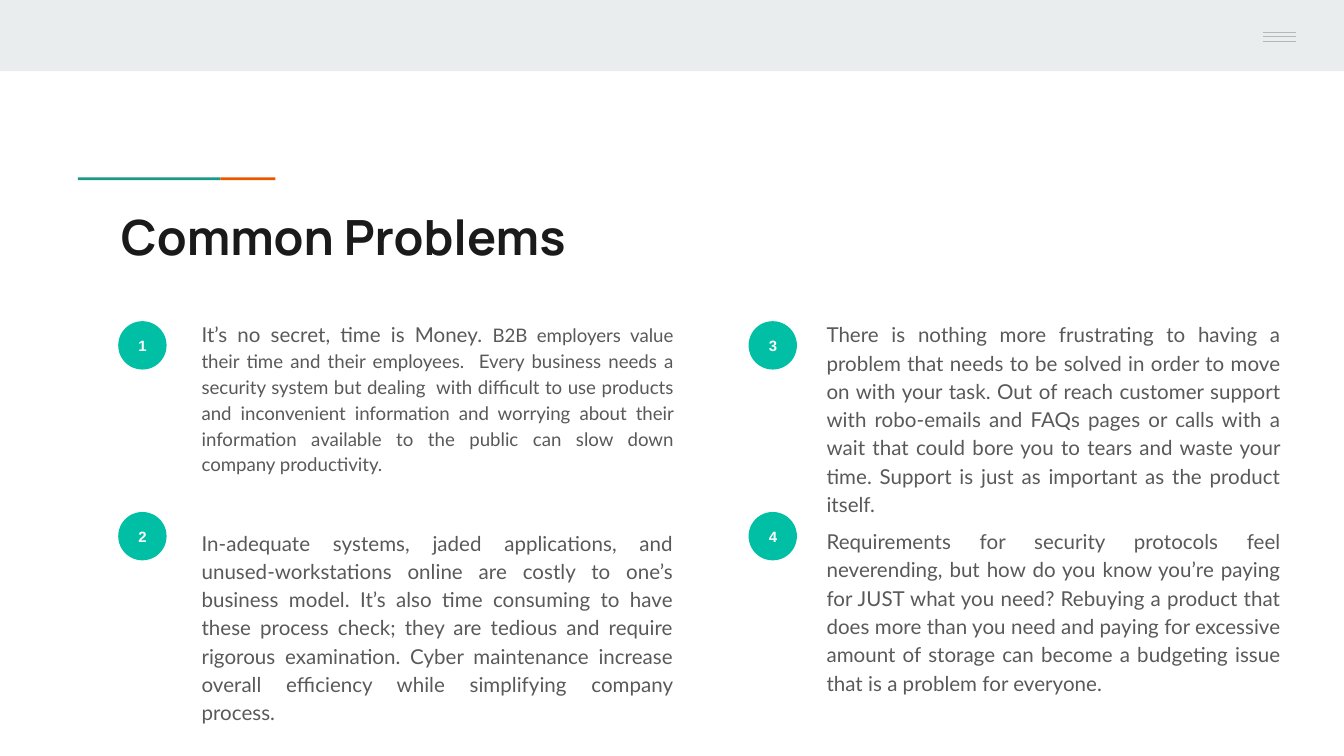
"""Build the "Common Problems" slide with four numbered paragraphs."""

from dataclasses import dataclass

from lxml.etree import SubElement
from pptx import Presentation
from pptx.dml.color import RGBColor
from pptx.enum.shapes import MSO_CONNECTOR, MSO_SHAPE
from pptx.enum.text import MSO_ANCHOR, MSO_AUTO_SIZE, PP_ALIGN
from pptx.oxml.ns import qn
from pptx.shapes.autoshape import Shape
from pptx.slide import Slide
from pptx.util import Inches, Pt

COLORS = {
    "band": "E9EDEE",
    "orange": "EB5600",
    "green": "1A9988",
    "badge": "00BFA5",
    "menu": "B7B7B7",
    "title": "1A1A1A",
    "body": "595959",
    "white": "FFFFFF",
}


@dataclass
class Run:
    text: str
    size: int = 11


@dataclass
class Column:
    badge_left: float
    text_left: float
    text_width: float


@dataclass
class Problem:
    column: Column
    badge_top: float
    text_top: float
    text_height: float
    runs: list[Run]


@dataclass
class Bar:
    left: float
    top: float
    width: float
    height: float
    color: str


LEFT = Column(0.88, 1.4, 3.71)
RIGHT = Column(5.57, 6.05, 3.58)
BADGE_SIZE = 0.36
UPPER_BADGE, LOWER_BADGE = 2.39, 3.81

BARS = [
    Bar(0, 0, 10, 0.53, "band"),
    Bar(0.58, 1.32, 1.06, 0.02, "green"),
    Bar(1.64, 1.32, 0.41, 0.02, "orange"),
]

PROBLEMS = [
    Problem(LEFT, UPPER_BADGE, 2.27, 1.29, [
        Run("It’s no secret, time is Money. "),
        Run("B2B employers value their time and their employees.  Every business "
            "needs a security system but dealing  with difficult to use products "
            "and inconvenient information and worrying about their information "
            "available to the public can slow down company productivity.", 10),
    ]),
    Problem(LEFT, LOWER_BADGE, 3.82, 1.15, [
        Run("In-adequate systems, jaded applications, and unused-workstations "
            "online are costly to one’s business model. It’s also time consuming "
            "to have these process check; they are tedious and require rigorous "
            "examination. Cyber maintenance increase overall efficiency while "
            "simplifying company process."),
    ]),
    Problem(RIGHT, UPPER_BADGE, 2.27, 1.49, [
        Run("There is nothing more frustrating to having a problem that needs to "
            "be solved in order to move on with your task. Out of reach customer "
            "support with robo-emails and FAQs pages or calls with a wait that "
            "could bore you to tears and waste your time. Support is just as "
            "important as the product itself."),
    ]),
    Problem(RIGHT, LOWER_BADGE, 3.81, 1.17, [
        Run("Requirements for security protocols feel neverending, but how do you "
            "know you’re paying for JUST what you need? Rebuying a product that "
            "does more than you need and paying for excessive amount of storage "
            "can become a budgeting issue that is a problem for everyone."),
    ]),
]


def color(name: str) -> RGBColor:
    """Return the named palette colour."""
    return RGBColor.from_string(COLORS[name])


def add_filled(slide: Slide, preset: MSO_SHAPE, bar: Bar) -> Shape:
    """Draw a flat preset shape without outline or shadow."""
    shape = slide.shapes.add_shape(
        preset, Inches(bar.left), Inches(bar.top), Inches(bar.width), Inches(bar.height)
    )
    shape.fill.solid()
    shape.fill.fore_color.rgb = color(bar.color)
    shape.line.fill.background()
    shape.shadow.inherit = False
    return shape


def add_menu_line(slide: Slide, top: float) -> None:
    """Draw one line of the menu icon."""
    line = slide.shapes.add_connector(
        MSO_CONNECTOR.STRAIGHT, Inches(9.4), Inches(top), Inches(9.64), Inches(top)
    )
    line.line.color.rgb = color("menu")
    line.line.width = Pt(0.75)
    SubElement(line._element.spPr, qn("a:effectLst"))


def set_frame(shape: Shape, anchor: MSO_ANCHOR) -> None:
    """Give a text frame even insets, wrapping and a fixed size."""
    frame = shape.text_frame
    frame.margin_left = frame.margin_right = Inches(0.1)
    frame.margin_top = frame.margin_bottom = Inches(0.1)
    frame.word_wrap = True
    frame.auto_size = MSO_AUTO_SIZE.NONE
    frame.vertical_anchor = anchor


def place(shape: Shape, left: float, top: float, width: float, height: float) -> None:
    """Move and resize a placeholder."""
    shape.left, shape.top = Inches(left), Inches(top)
    shape.width, shape.height = Inches(width), Inches(height)


def fill_title(title: Shape) -> None:
    """Write the slide title."""
    place(title, 0.8, 1.44, 8.41, 0.59)
    set_frame(title, MSO_ANCHOR.TOP)
    paragraph = title.text_frame.paragraphs[0]
    paragraph.text = "Common Problems"
    paragraph.alignment = PP_ALIGN.LEFT
    paragraph.font.name = "Manrope"
    paragraph.font.size = Pt(26)
    paragraph.font.bold = True
    paragraph.font.color.rgb = color("title")


def fill_problem(body: Shape, problem: Problem) -> None:
    """Write one justified problem paragraph."""
    column = problem.column
    place(body, column.text_left, problem.text_top, column.text_width, problem.text_height)
    set_frame(body, MSO_ANCHOR.TOP)
    paragraph = body.text_frame.paragraphs[0]
    paragraph.alignment = PP_ALIGN.JUSTIFY
    paragraph.line_spacing = 1.15
    paragraph.space_before = Pt(0)
    paragraph.space_after = Pt(16)
    properties = paragraph._p.get_or_add_pPr()
    properties.set("marL", "0")
    properties.set("indent", "0")
    SubElement(properties, qn("a:buNone"))
    paragraph.font.name = "Lato"
    paragraph.font.bold = False
    paragraph.font.color.rgb = color("body")
    for part in problem.runs:
        run = paragraph.add_run()
        run.text = part.text
        run.font.size = Pt(part.size)


def add_badge(slide: Slide, number: int, problem: Problem) -> None:
    """Draw the numbered circle beside a problem."""
    circle = Bar(problem.column.badge_left, problem.badge_top, BADGE_SIZE, BADGE_SIZE, "badge")
    badge = add_filled(slide, MSO_SHAPE.OVAL, circle)
    set_frame(badge, MSO_ANCHOR.MIDDLE)
    paragraph = badge.text_frame.paragraphs[0]
    paragraph.text = str(number)
    paragraph.alignment = PP_ALIGN.CENTER
    paragraph.font.name = "Arial"
    paragraph.font.size = Pt(8)
    paragraph.font.bold = True
    paragraph.font.color.rgb = color("white")


def main() -> None:
    """Build and save the presentation."""
    presentation = Presentation()
    presentation.slide_width = Inches(10)
    presentation.slide_height = Inches(10) * 9 // 16
    slide = presentation.slides.add_slide(presentation.slide_layouts.get_by_name("Comparison"))
    for bar in BARS:
        add_filled(slide, MSO_SHAPE.RECTANGLE, bar)
    for top in (0.24, 0.27, 0.31):
        add_menu_line(slide, top)
    title, *bodies = slide.placeholders
    fill_title(title)
    for number, (body, problem) in enumerate(zip(bodies, PROBLEMS), start=1):
        fill_problem(body, problem)
        add_badge(slide, number, problem)
    presentation.save("out.pptx")


if __name__ == "__main__":
    main()
